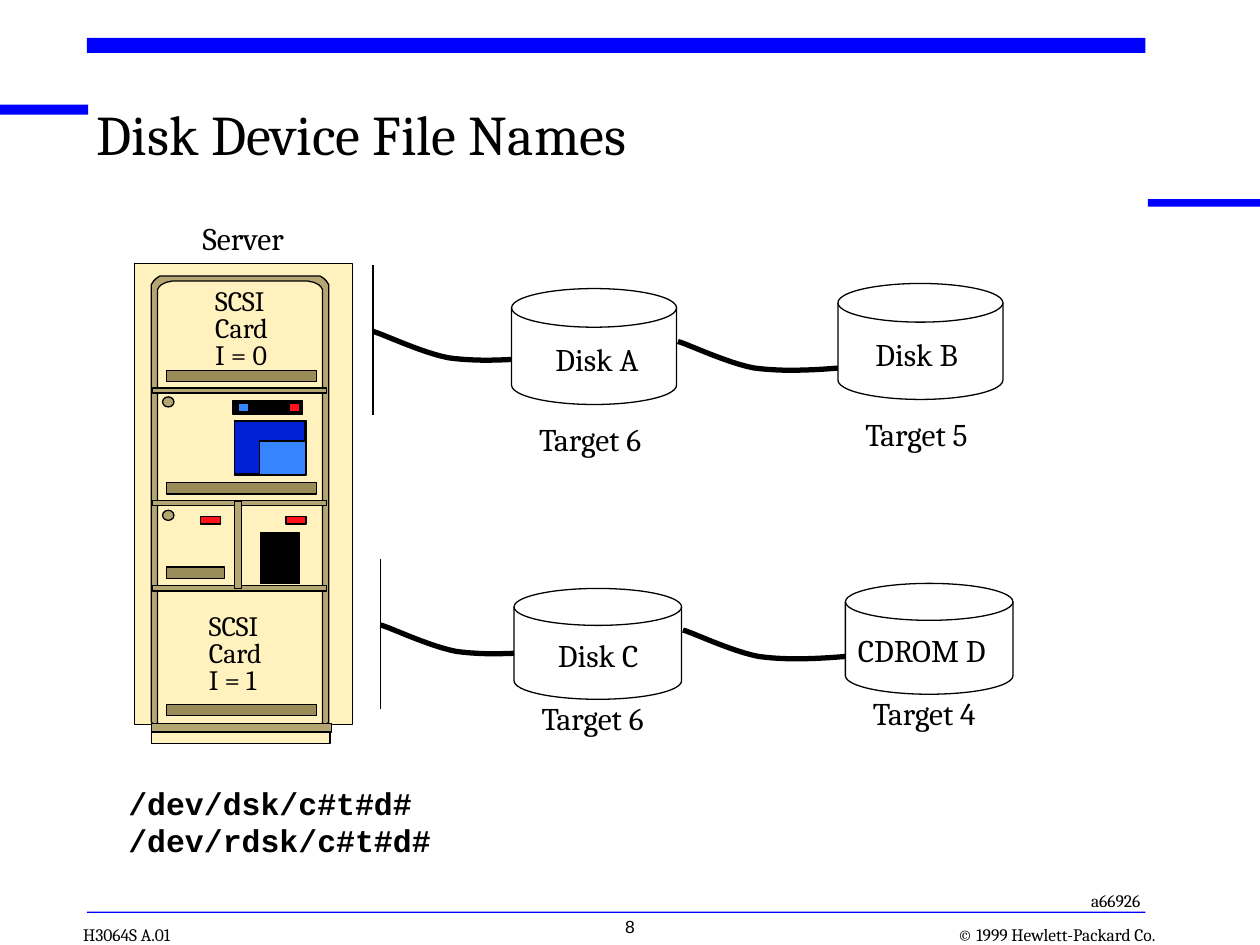
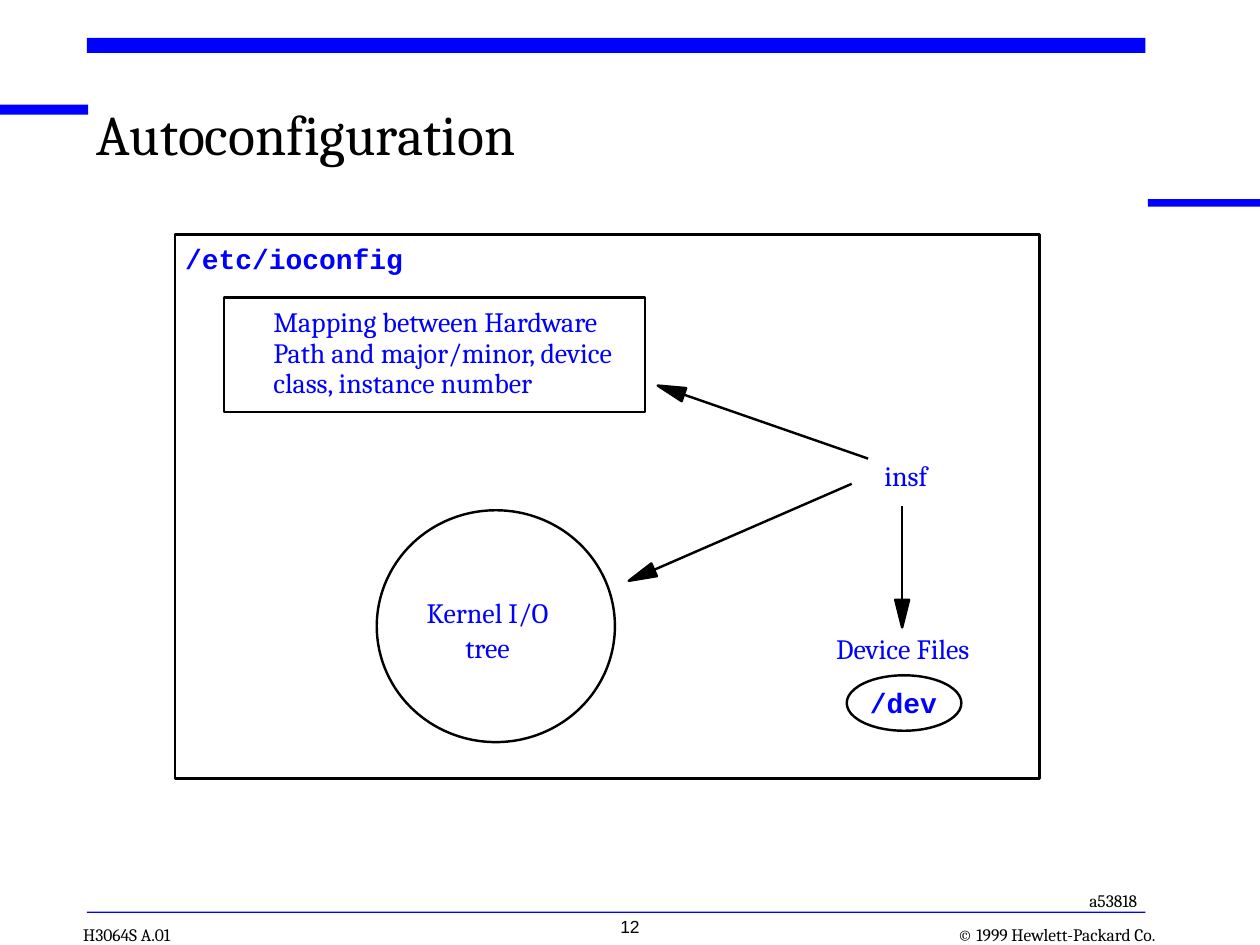
"""Build two slides on disk device files and autoconfiguration."""
from math import hypot

from lxml.etree import SubElement
from pptx import Presentation
from pptx.dml.color import RGBColor
from pptx.enum.shapes import MSO_CONNECTOR, MSO_SHAPE
from pptx.enum.text import MSO_ANCHOR, MSO_AUTO_SIZE, PP_ALIGN
from pptx.oxml.ns import qn
from pptx.util import Inches, Pt

BLACK = RGBColor(0x00, 0x00, 0x00)
WHITE = RGBColor(0xFF, 0xFF, 0xFF)
BLUE = RGBColor(0x00, 0x00, 0xFF)
CREAM = RGBColor(0xFF, 0xF2, 0xBF)
TAN = RGBColor(0xB3, 0xA6, 0x73)
OLIVE = RGBColor(0x99, 0x8C, 0x59)
RED = RGBColor(0xFF, 0x12, 0x1A)
SKY = RGBColor(0x36, 0x85, 0xFF)
NAVY = RGBColor(0x00, 0x21, 0xD6)
SERIF, MONO, SANS = "Cambria", "Courier New", "Arial"
LEFT, CENTER, RIGHT = PP_ALIGN.LEFT, PP_ALIGN.CENTER, PP_ALIGN.RIGHT
TOP, MIDDLE, BOTTOM = MSO_ANCHOR.TOP, MSO_ANCHOR.MIDDLE, MSO_ANCHOR.BOTTOM
RECT, OVAL = MSO_SHAPE.RECTANGLE, MSO_SHAPE.OVAL

deck = Presentation()
deck.slide_width, deck.slide_height = Inches(10), Inches(7.5)
COLUMN, ROW = deck.slide_width // 100, deck.slide_height // 75


def draw(page, kind, place, fill=None, edge=None, weight=0):
    """Draw a preset in a grid box, or a freeform through grid points if kind is None."""
    if kind is None:
        points = [(round(x * COLUMN), round(y * ROW)) for x, y in place]
        builder = page.shapes.build_freeform(*points[0], scale=1.0)
        builder.add_line_segments(points[1:], close=fill is not None)
        shape = builder.convert_to_shape()
    else:
        left, top, width, height = place
        shape = page.shapes.add_shape(kind, round(left * COLUMN), round(top * ROW),
                                      round(width * COLUMN), round(height * ROW))
    shape.shadow.inherit = False
    if fill is None:
        shape.fill.background()
    else:
        shape.fill.solid()
        shape.fill.fore_color.rgb = fill
    if edge is None:
        shape.line.fill.background()
    else:
        shape.line.color.rgb = edge
        shape.line.width = Pt(weight)


def write(page, place, lines, size, font=SERIF, color=BLACK, align=LEFT, anchor=MIDDLE,
          padded=True, spacing=None, wrap=False):
    """Write one paragraph per line in a text box placed on the grid."""
    left, top, width, height = place
    box = page.shapes.add_textbox(round(left * COLUMN), round(top * ROW),
                                  round(width * COLUMN), round(height * ROW))
    frame = box.text_frame
    frame.word_wrap = wrap
    frame.auto_size = MSO_AUTO_SIZE.NONE if wrap else MSO_AUTO_SIZE.SHAPE_TO_FIT_TEXT
    frame.vertical_anchor = anchor
    frame.margin_left = frame.margin_right = COLUMN if padded else 0
    frame.margin_top = frame.margin_bottom = ROW // 2 if padded else 0
    for index, line in enumerate(lines):
        para = frame.add_paragraph() if index else frame.paragraphs[0]
        para.alignment = align
        if spacing:
            para.line_spacing = spacing
        span = para.add_run()
        span.text = line
        span.font.size = Pt(size)
        span.font.name = font
        span.font.bold = font == MONO
        span.font.color.rgb = color


bands = [(0, 8.3, 7, 0.8), (6.9, 3, 84, 1.2), (91.1, 15.8, 9, 0.6), (6.9, 72.35, 84, 0.1)]
pages = []
for title, number, code, code_left in [
    ("Disk Device File Names", "8", "a66926", 85.2),
    ("Autoconfiguration", "12", "a53818", 85),
]:
    page = deck.slides.add_slide(deck.slide_layouts[6])
    pages.append(page)
    for band in bands:
        draw(page, RECT, band, BLUE)
    write(page, (6.6, 73.3, 8.2, 1.7), ["H3064S A.01"], 10, anchor=BOTTOM, padded=False)
    write(page, (73.5, 73.3, 18.2, 1.7), ["© 1999 Hewlett-Packard Co."], 10,
          align=RIGHT, anchor=BOTTOM, padded=False)
    write(page, (7.7, 8.7, 80.7, 6.7), [title], 32, anchor=TOP, padded=False,
          spacing=0.85, wrap=True)
    write(page, (code_left, 70.1, 6.7, 2.7), [code], 10, align=CENTER)
    write(page, (39.6, 72.2, 20.8, 3.3), [number], 10, SANS, align=CENTER, anchor=TOP, wrap=True)
disks_page, config_page = pages

draw(disks_page, RECT, (10.7, 20.9, 17.3, 36.6), CREAM, BLACK)
frame_outer = [(26.1, 57.3), (26.1, 22.6), (25.9, 22.3), (25.7, 22.1), (25.4, 21.9), (24.9, 21.9)]
frame_inner = [(25.6, 57.8), (25.6, 23), (25.5, 22.8), (25.3, 22.6), (24.9, 22.4), (24.4, 22.3)]
FRAME_SPAN = 38.1
outer_left, inner_left = ([(FRAME_SPAN - x, y) for x, y in half]
                          for half in (frame_outer, frame_inner))
draw(disks_page, None, frame_outer + outer_left[::-1] + inner_left + frame_inner[::-1], TAN, BLACK)

shelves = [(12.1, top, 13.8, 0.4) for top in (30.8, 39.7, 46.5)]
vents = [(13.2, top, 11.9, 0.9) for top in (29.4, 38.3, 55.9)] + [(13.2, 45, 4.6, 0.9)]
knobs = [(12.9, top, 0.9, 0.8) for top in (31.5, 40.5)]
lamps = [(left, 41, 1.6, 0.6) for left in (15.9, 22.7)]
for kind, color, places in [
    (RECT, TAN, shelves), (RECT, OLIVE, vents), (OVAL, TAN, knobs), (RECT, RED, lamps),
    (RECT, TAN, [(18.6, 39.8, 0.6, 6.9)]),
    (RECT, BLACK, [(20.7, 42.3, 3.1, 4), (18.5, 31.8, 5.5, 1.1)]),
    (RECT, SKY, [(18.6, 33.4, 5.7, 4.3), (18.9, 32, 0.8, 0.7)]),
    (RECT, RED, [(23, 32, 0.8, 0.7)]),
    (RECT, CREAM, [(12, 57.4, 14.2, 1.6)]),
    (RECT, TAN, [(12, 57.4, 14.3, 0.7)]),
]:
    for place in places:
        draw(disks_page, kind, place, color, BLACK)
screen = [(18.6, 33.4), (18.6, 37.6), (20.6, 37.6), (20.6, 35), (24.2, 35), (24.2, 33.4)]
draw(disks_page, None, screen, NAVY, BLACK)

write(disks_page, (15.1, 16.9, 9.5, 4), ["Server"], 18)
for left, top, instance in [(16.1, 22.5, "I = 0"), (15.6, 48.3, "I = 1")]:
    write(disks_page, (left, top, 6.9, 7.4), ["SCSI", "Card", instance], 16, spacing=0.8)

STEPS = 12
cable_bends = [[(0, 0), (1, 0.3), (3.9, 1.7), (6, 2.1)],
               [(6, 2.1), (8.2, 2.4), (10.5, 2.3), (12.9, 2.1)]]
cable = []
for bend in cable_bends:
    for step in range(STEPS + 1):
        t = step / STEPS
        shares = ((1 - t) ** 3, 3 * t * (1 - t) ** 2, 3 * t ** 2 * (1 - t), t ** 3)
        cable.append([sum(share * point[axis] for share, point in zip(shares, bend))
                      for axis in (0, 1)])
for left, top in [(29.6, 26.3), (53.8, 27.1), (30.2, 49.6), (54.2, 50)]:
    draw(disks_page, None, [(left + x, top + y) for x, y in cable], edge=BLACK, weight=3)

for width, height, name_drop, target_drop, drives in [
    (13.1, 9.2, 3.6, 9.9, [(40.6, 22.9, "Disk A", 2.5, 9.2, "Target 6"),
                           (66.5, 22.5, "Disk B", 2, 9.3, "Target 5")]),
    (13.3, 8.8, 3.3, 8.3, [(40.8, 46.7, "Disk C", 2.5, 9.2, "Target 6"),
                           (67.1, 46.3, "CDROM D", 0, 13.6, "Target 4")]),
]:
    for left, top, name, indent, name_width, target in drives:
        draw(disks_page, MSO_SHAPE.FLOWCHART_MAGNETIC_DISK, (left, top, width, height),
             WHITE, BLACK, 0.75)
        write(disks_page, (left + indent, top + name_drop, name_width, 4), [name], 18)
        write(disks_page, (left + 1.2, top + target_drop, 11.7, 4), [target], 18)
write(disks_page, (9.2, 61.7, 26, 7), ["/dev/dsk/c#t#d#", "/dev/rdsk/c#t#d#"], 18, MONO)

OUTLINE = 1.39
for kind, place, fill in [
    (RECT, (13.9, 18.6, 68.6, 43.2), None),
    (RECT, (17.8, 23.6, 33.4, 9.1), WHITE),
    (OVAL, (29.9, 40.5, 18.9, 18.4), WHITE),
    (OVAL, (67.2, 53.6, 9.1, 4.4), WHITE),
]:
    draw(config_page, kind, place, fill, BLACK, OUTLINE)

mapping = ["Mapping between Hardware", "Path and major/minor, device", "class, instance number"]
for place, lines, font, align, spacing in [
    ((14.7, 19.2, 17.3, 2.7), ["/etc/ioconfig"], MONO, CENTER, None),
    ((68.2, 54.4, 7, 2.7), ["/dev"], MONO, CENTER, None),
    ((65.6, 50.1, 12.1, 2.7), ["Device Files"], SERIF, CENTER, None),
    ((69.4, 36.4, 5, 2.7), ["insf"], SERIF, CENTER, None),
    ((32.7, 47.1, 12, 5.5), ["Kernel I/O", "tree"], SERIF, CENTER, 1.05),
    ((21.7, 24.4, 27, 7.6), mapping, SERIF, LEFT, 0.92),
]:
    write(config_page, place, lines, 16, font, BLUE, align, TOP, False, spacing)

HEAD_LENGTH, HEAD_HALF = 2.2, 0.55
links = [(disks_page, (29.6, 21), (29.6, 32.9), 0.75),
         (disks_page, (30.2, 44.4), (30.2, 56.3), 0.75)]
for start, tip in [((71.6, 40.2), (71.6, 49.8)), ((67.6, 38.4), (49.9, 46.1)),
                   ((68.9, 36.4), (52.2, 30.6))]:
    run, rise = tip[0] - start[0], tip[1] - start[1]
    reach = hypot(run, rise)
    run, rise = run / reach, rise / reach
    base = (tip[0] - HEAD_LENGTH * run, tip[1] - HEAD_LENGTH * rise)
    corners = [(base[0] - side * rise, base[1] + side * run) for side in (HEAD_HALF, -HEAD_HALF)]
    draw(config_page, None, [tip] + corners, BLACK, BLACK, OUTLINE)
    links.append((config_page, start, base, OUTLINE))
for page, start, end, weight in links:
    link = page.shapes.add_connector(
        MSO_CONNECTOR.STRAIGHT, round(start[0] * COLUMN), round(start[1] * ROW),
        round(end[0] * COLUMN), round(end[1] * ROW))
    link.line.color.rgb = BLACK
    link.line.width = Pt(weight)
    SubElement(link._element.spPr, qn("a:effectLst"))

deck.save("out.pptx")
